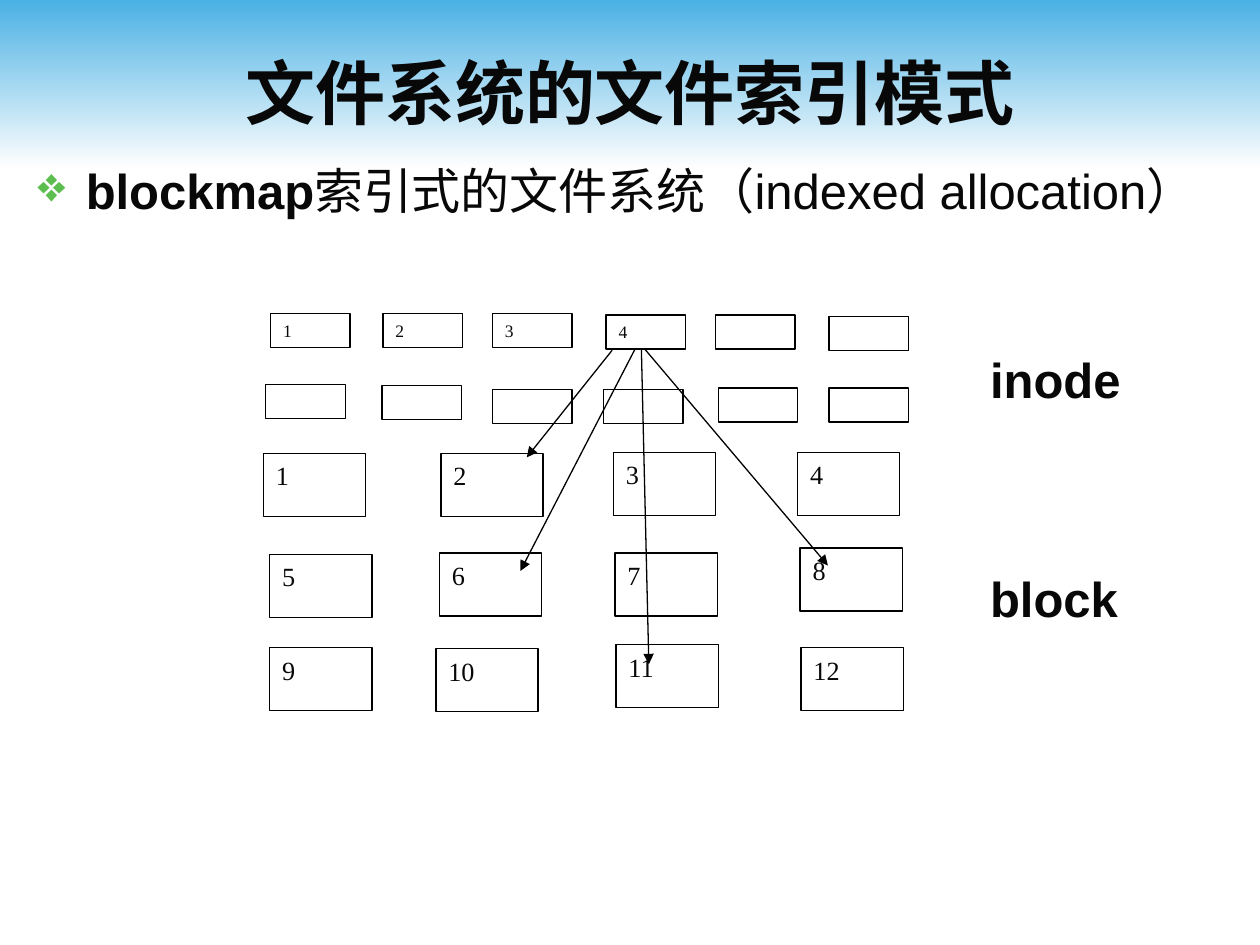
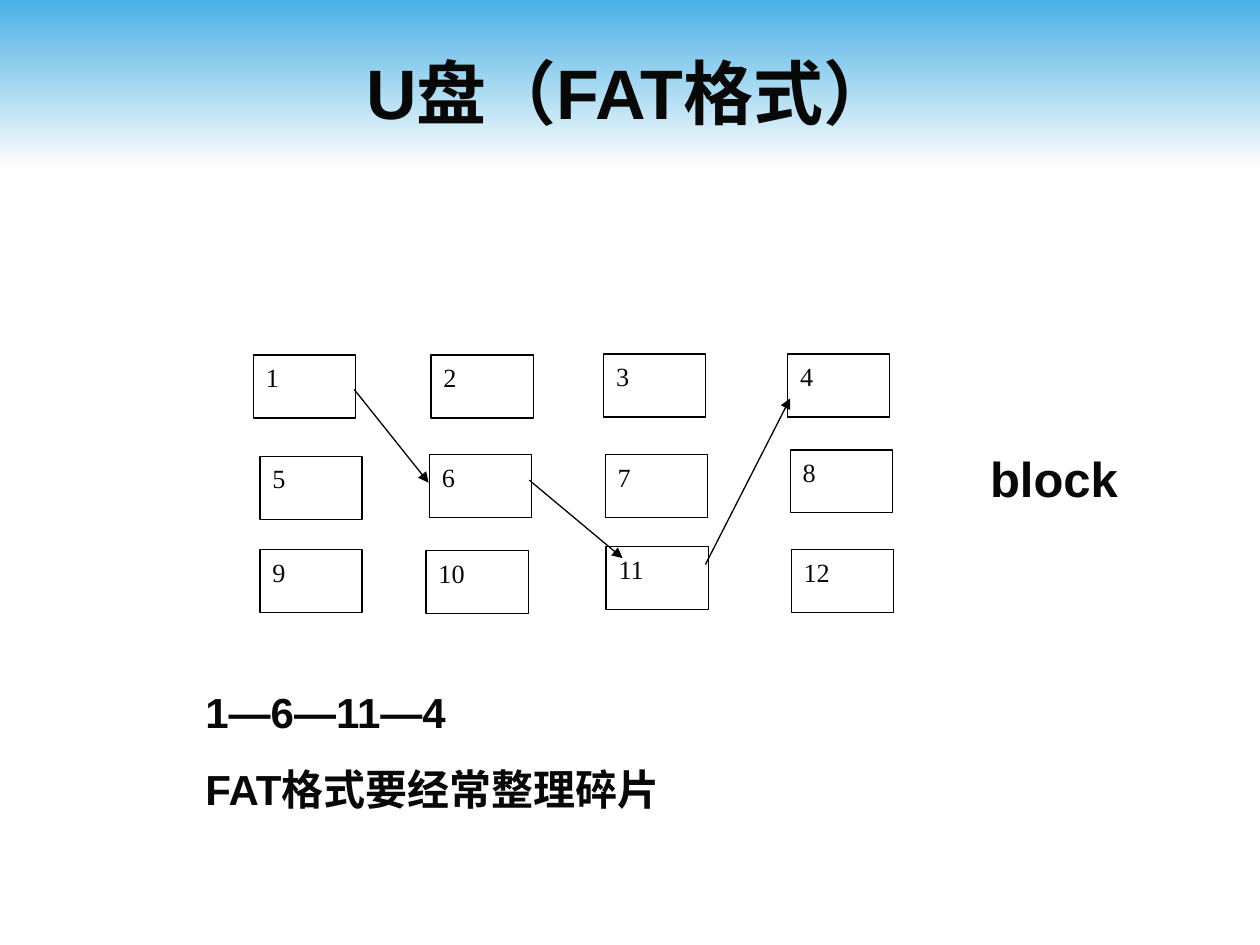
from dataclasses import dataclass

from lxml import etree
from pptx import Presentation
from pptx import slide as slides
from pptx import util as u
from pptx.dml import color
from pptx.enum import shapes, text
from pptx.oxml import ns
from pptx.text import text as body_text

INK = color.RGBColor(0x08, 0x08, 0x08)
BLACK = color.RGBColor(0x00, 0x00, 0x00)
WHITE = color.RGBColor(0xFF, 0xFF, 0xFF)
SKY = color.RGBColor(0x4A, 0xB1, 0xE4)
MIST = color.RGBColor(0xFE, 0xFE, 0xFE)
LEAF = color.RGBColor(0x5B, 0xBE, 0x4E)

SANS = "Arial"
SERIF = "Times New Roman"
SLIDE_WIDTH = 25.4
SLIDE_HEIGHT = 19.05


@dataclass(frozen=True)
class Cell:
    left: float
    top: float
    label: str = ""


@dataclass(frozen=True)
class CellStyle:
    width: float
    height: float
    size: float


@dataclass(frozen=True)
class Arrow:
    start: tuple[float, float]
    end: tuple[float, float]


INODE_STYLE = CellStyle(1.6, 0.69, 10)
BLOCK_STYLE = CellStyle(2.06, 1.27, 15)

INODES = [
    Cell(5.46, 6.32, "1"), Cell(7.72, 6.32, "2"), Cell(9.93, 6.32, "3"),
    Cell(12.22, 6.35, "4"), Cell(14.43, 6.35), Cell(16.71, 6.38),
    Cell(5.36, 7.75), Cell(7.7, 7.77), Cell(9.93, 7.85),
    Cell(12.17, 7.85), Cell(14.48, 7.82), Cell(16.71, 7.82),
]
BLOCK_PLACES = [
    (5.31, 9.14), (8.89, 9.14), (12.37, 9.12), (16.08, 9.12),
    (5.44, 11.18), (8.86, 11.15), (12.4, 11.15), (16.13, 11.05),
    (5.44, 13.06), (8.79, 13.08), (12.42, 13.0), (16.15, 13.06),
]
INODE_ARROWS = [
    Arrow((12.34, 7.06), (10.62, 9.22)),
    Arrow((12.8, 7.04), (10.49, 11.51)),
    Arrow((12.93, 7.06), (13.08, 13.39)),
    Arrow((13.0, 7.04), (16.69, 11.4)),
]
CHAIN_ARROWS = [
    Arrow((7.14, 7.85), (8.64, 9.73)),
    Arrow((10.67, 9.68), (12.55, 11.25)),
    Arrow((14.22, 11.38), (15.93, 8.03)),
]


def write(para: body_text._Paragraph, content: str, *, size: float,
          font: str = SANS, bold: bool = False) -> None:
    span = para.add_run()
    span.text = content
    span.font.size = u.Pt(size)
    span.font.name = font
    span.font.bold = bold
    span.font.color.rgb = INK


def add_text(page: slides.Slide, place: tuple[float, float, float, float],
             lines: list[str], *, size: float, before: float = 0,
             align: text.PP_ALIGN = text.PP_ALIGN.LEFT,
             anchor: text.MSO_ANCHOR = text.MSO_ANCHOR.TOP) -> None:
    frame = page.shapes.add_textbox(*map(u.Cm, place)).text_frame
    frame.word_wrap = True
    frame.vertical_anchor = anchor
    for index, line in enumerate(lines):
        para = frame.add_paragraph() if index else frame.paragraphs[0]
        para.alignment = align
        para.space_before = u.Pt(before)
        write(para, line, size=size, bold=True)


def add_bullet_text(page: slides.Slide, strong: str, plain: str) -> None:
    box = page.shapes.add_textbox(*map(u.Cm, (0.51, 3.12, 24.41, 13.97)))
    box.text_frame.word_wrap = True
    para = box.text_frame.paragraphs[0]
    para.space_before = u.Pt(7)
    write(para, strong, size=28, bold=True)
    write(para, plain, size=28)
    properties = para._p.get_or_add_pPr()
    properties.set("marL", str(u.Cm(0.97)))
    properties.set("indent", str(-u.Cm(0.97)))
    tint = etree.SubElement(properties, ns.qn("a:buClr"))
    etree.SubElement(tint, ns.qn("a:srgbClr"), val=str(LEAF))
    etree.SubElement(properties, ns.qn("a:buChar"), char="❖")


def add_cells(page: slides.Slide, cells: list[Cell], style: CellStyle) -> None:
    for cell in cells:
        box = page.shapes.add_shape(
            shapes.MSO_SHAPE.RECTANGLE, u.Cm(cell.left), u.Cm(cell.top),
            u.Cm(style.width), u.Cm(style.height))
        box.shadow.inherit = False
        box.fill.solid()
        box.fill.fore_color.rgb = WHITE
        box.line.color.rgb = BLACK
        box.line.width = u.Pt(0.75)
        if cell.label:
            box.text_frame.vertical_anchor = text.MSO_ANCHOR.TOP
            para = box.text_frame.paragraphs[0]
            para.alignment = text.PP_ALIGN.JUSTIFY
            write(para, cell.label, size=style.size, font=SERIF)


def add_blocks(page: slides.Slide, shift_x: float = 0, shift_y: float = 0) -> None:
    cells = [Cell(left + shift_x, top + shift_y, str(number))
             for number, (left, top) in enumerate(BLOCK_PLACES, start=1)]
    add_cells(page, cells, BLOCK_STYLE)


def add_arrows(page: slides.Slide, arrows: list[Arrow]) -> None:
    for arrow in arrows:
        link = page.shapes.add_connector(
            shapes.MSO_CONNECTOR.STRAIGHT, *map(u.Cm, arrow.start + arrow.end))
        link.line.color.rgb = BLACK
        link.line.width = u.Pt(0.75)
        etree.SubElement(link.line._get_or_add_ln(), ns.qn("a:tailEnd"), type="triangle")
        etree.SubElement(link._element.spPr, ns.qn("a:effectLst"))


def add_label(page: slides.Slide, name: str, top: float) -> None:
    add_text(page, (19.71, top, 3.4, 1.45), [name], size=28, before=17.5)


def add_page(deck, title: str) -> slides.Slide:
    page = deck.slides.add_slide(deck.slide_layouts[6])
    band = page.shapes.add_shape(
        shapes.MSO_SHAPE.RECTANGLE, 0, 0, u.Cm(SLIDE_WIDTH), u.Cm(3.38))
    band.shadow.inherit = False
    band.line.fill.background()
    band.fill.gradient()
    band.fill.gradient_angle = 270
    for stop, shade in zip(band.fill.gradient_stops, (SKY, MIST)):
        stop.color.rgb = shade
    add_text(page, (1.27, 0.64, 22.86, 2.41), [title], size=40,
             align=text.PP_ALIGN.CENTER, anchor=text.MSO_ANCHOR.MIDDLE)
    return page


def build_index_page(deck) -> None:
    page = add_page(deck, "文件系统的文件索引模式")
    add_bullet_text(page, "blockmap", "索引式的文件系统（indexed allocation）")
    add_cells(page, INODES, INODE_STYLE)
    add_blocks(page)
    add_arrows(page, INODE_ARROWS)
    add_label(page, "inode", 6.93)
    add_label(page, "block", 11.33)


def build_fat_page(deck) -> None:
    page = add_page(deck, "U盘（FAT格式）")
    add_blocks(page, shift_x=-0.2, shift_y=-1.98)
    add_arrows(page, CHAIN_ARROWS)
    add_label(page, "block", 8.92)
    add_text(page, (3.89, 13.72, 14.2, 2.82),
             ["1—6—11—4", "FAT格式要经常整理碎片"], size=24, before=15)


def main() -> None:
    deck = Presentation()
    deck.slide_width = u.Cm(SLIDE_WIDTH)
    deck.slide_height = u.Cm(SLIDE_HEIGHT)
    build_index_page(deck)
    build_fat_page(deck)
    deck.save("out.pptx")


if __name__ == "__main__":
    main()
